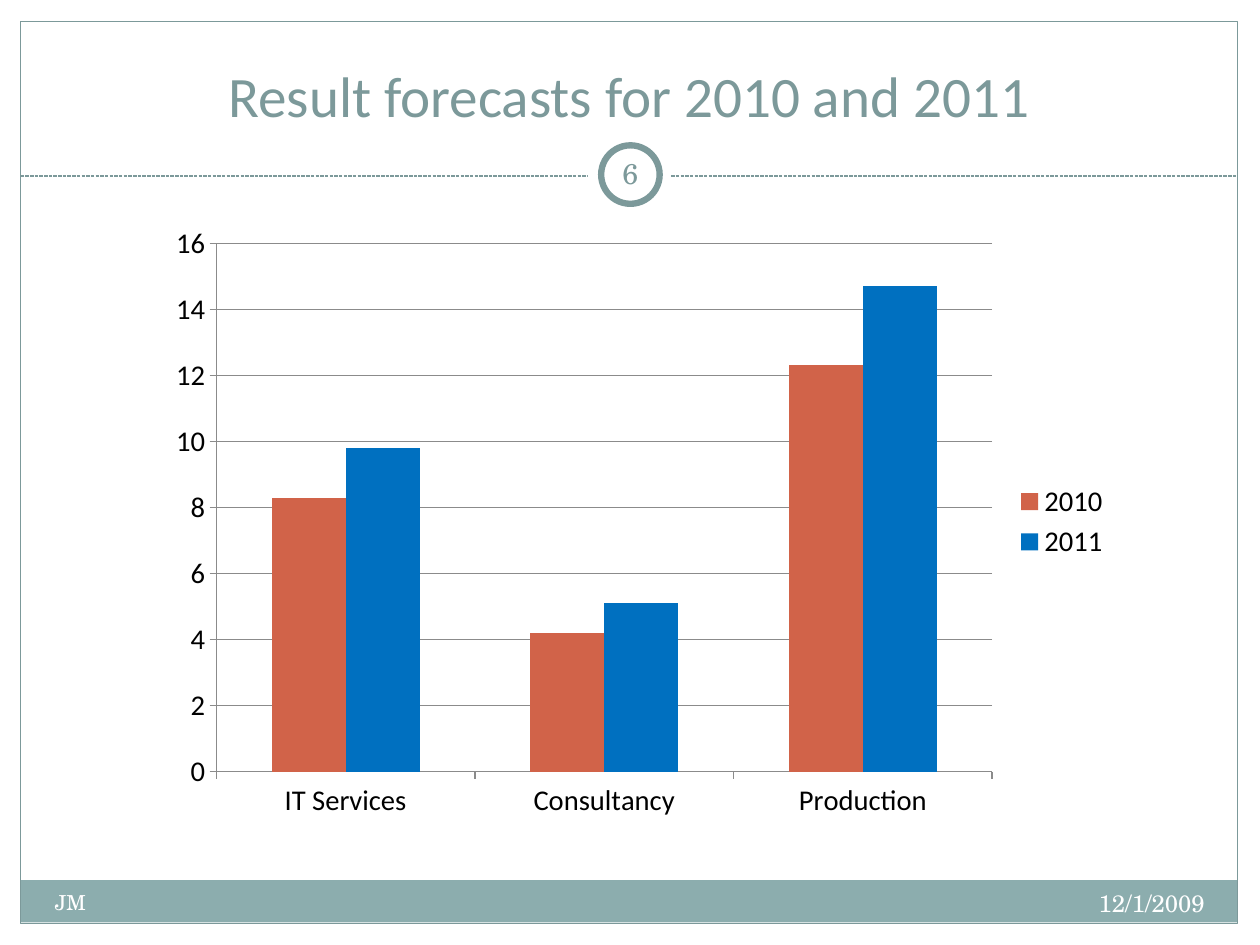
from dataclasses import dataclass
from typing import Optional

from lxml import etree
from pptx import Presentation
from pptx.chart.data import CategoryChartData
from pptx.dml.color import RGBColor
from pptx.enum.chart import XL_CHART_TYPE, XL_LEGEND_POSITION, XL_TICK_MARK
from pptx.enum.dml import MSO_LINE
from pptx.enum.shapes import MSO_CONNECTOR, MSO_SHAPE
from pptx.enum.text import MSO_ANCHOR, PP_ALIGN
from pptx.oxml import parse_xml
from pptx.oxml.ns import nsdecls, qn
from pptx.util import Cm, Pt

WHITE = RGBColor(0xFF, 0xFF, 0xFF)
BLACK = RGBColor(0, 0, 0)
TEAL = RGBColor(0x7C, 0x99, 0x9A)
BAND = RGBColor(0x8C, 0xAD, 0xAE)
RUST = RGBColor(0xD1, 0x63, 0x49)
BLUE = RGBColor(0x00, 0x70, 0xC0)
GREY = RGBColor(0x8B, 0x8B, 0x8B)
SANS, SERIF = "Calibri", "TeX Gyre Schola"

RECT, OVAL = MSO_SHAPE.RECTANGLE, MSO_SHAPE.OVAL
LEFT, MID, RIGHT = PP_ALIGN.LEFT, PP_ALIGN.CENTER, PP_ALIGN.RIGHT
TOP, CENTRE, BASE = MSO_ANCHOR.TOP, MSO_ANCHOR.MIDDLE, MSO_ANCHOR.BOTTOM
COLUMN = XL_CHART_TYPE.COLUMN_CLUSTERED
OUT = XL_TICK_MARK.OUTSIDE


@dataclass
class Box:
    x: float
    y: float
    w: float
    h: float

    def span(self) -> tuple:
        return Cm(self.x), Cm(self.y), Cm(self.w), Cm(self.h)


@dataclass
class Form:
    kind: int
    box: Box
    fill: Optional[RGBColor] = None
    line: Optional[RGBColor] = None
    width: float = 0.75


@dataclass
class Label:
    text: str
    box: Box
    size: float
    color: RGBColor = WHITE
    align: int = LEFT
    anchor: int = TOP
    side: float = 0.28


FRAME = Box(0.46, 0.48, 27.05, 20.04)
RULE = 3.91

FORMS = [
    Form(RECT, Box(FRAME.x, 19.56, FRAME.w, 0.94), fill=BAND),
    Form(RECT, FRAME, line=TEAL),
]
RINGS = [
    Form(OVAL, Box(13.06, 2.92, 1.85, 1.85), fill=WHITE),
    Form(OVAL, Box(13.36, 3.23, 1.3, 1.3), fill=WHITE, line=TEAL, width=4),
]
LABELS = [
    Label("12/1/2009", Box(17.73, 19.61, 9.32, 1.12), 15, align=RIGHT),
    Label("JM", Box(0.94, 19.63, 10.97, 1.12), 13),
    Label("6", Box(13.31, 3.18, 1.4, 1.35), 18, TEAL, MID, CENTRE, 0.15),
]
UNITS = ["IT Services", "Consultancy", "Production"]
YEARS = {"2010": ([8.3, 4.2, 12.3], RUST), "2011": ([9.8, 5.1, 14.7], BLUE)}
PLOT = {"x": 0.062, "y": 0.048, "w": 0.804, "h": 0.858}


def draw_form(slide, form: Form) -> None:
    shape = slide.shapes.add_shape(form.kind, *form.box.span())
    shape.shadow.inherit = False
    if form.fill is None:
        shape.fill.background()
    else:
        shape.fill.solid()
        shape.fill.fore_color.rgb = form.fill
    if form.line is None:
        shape.line.fill.background()
    else:
        shape.line.color.rgb = form.line
        shape.line.width = Pt(form.width)


def draw_rule(slide) -> None:
    y = Cm(RULE)
    rule = slide.shapes.add_connector(
        MSO_CONNECTOR.STRAIGHT, Cm(FRAME.x), y, Cm(FRAME.x + FRAME.w), y)
    rule.line.color.rgb = TEAL
    rule.line.width = Pt(0.75)
    rule.line.dash_style = MSO_LINE.SQUARE_DOT
    etree.SubElement(rule._element.spPr, qn("a:effectLst"))


def put_text(shape, text: str, *, size: float, color: RGBColor, font: str,
             align: int = LEFT, anchor: int = TOP, side: float = 0.28) -> None:
    frame = shape.text_frame
    frame.word_wrap = True
    frame.vertical_anchor = anchor
    frame.margin_left = frame.margin_right = Cm(side)
    frame.margin_top = frame.margin_bottom = Cm(0.15)
    para = frame.paragraphs[0]
    para.alignment = align
    run = para.add_run()
    run.text = text
    run.font.size = Pt(size)
    run.font.name = font
    run.font.color.rgb = color


def draw_title(slide) -> None:
    title = slide.shapes.title
    title.left, title.top, title.width, title.height = Box(0.91, 0.71, 26.14, 2.31).span()
    put_text(title, "Result forecasts for 2010 and 2011", size=36, color=TEAL,
             font=SANS, align=MID, anchor=BASE)


def draw_label(slide, label: Label) -> None:
    box = slide.shapes.add_textbox(*label.box.span())
    put_text(box, label.text, size=label.size, color=label.color, font=SERIF,
             align=label.align, anchor=label.anchor, side=label.side)


def set_plot(chart) -> None:
    area = chart._chartSpace.chart.plotArea
    for old in area.findall(qn("c:layout")):
        area.remove(old)
    parts = "".join(f'<c:{key} val="{val}"/>' for key, val in PLOT.items())
    area.insert(0, parse_xml(
        f'<c:layout {nsdecls("c")}><c:manualLayout><c:layoutTarget val="inner"/>'
        f'<c:xMode val="edge"/><c:yMode val="edge"/>{parts}</c:manualLayout></c:layout>'))


def draw_chart(slide) -> None:
    data = CategoryChartData()
    data.categories = UNITS
    for year, (vals, _) in YEARS.items():
        data.add_series(year, vals)
    chart = slide.shapes.add_chart(COLUMN, *Box(3.48, 4.75, 21.44, 13.69).span(), data).chart
    chart.has_title = False
    chart.font.name = SANS
    chart.font.size = Pt(18)
    chart.font.color.rgb = BLACK

    # Bars
    plot = chart.plots[0]
    plot.gap_width = 150
    plot.overlap = 0
    plot.vary_by_categories = False
    for bars, (_, color) in zip(plot.series, YEARS.values()):
        bars.format.fill.solid()
        bars.format.fill.fore_color.rgb = color

    # Axes and grid
    scale = chart.value_axis
    scale.minimum_scale, scale.maximum_scale, scale.major_unit = 0, 16, 2
    scale.has_major_gridlines = True
    for axis in (chart.category_axis, scale):
        axis.major_tick_mark = OUT
    for part in (chart.category_axis, scale, scale.major_gridlines):
        part.format.line.color.rgb = GREY
        part.format.line.width = Pt(0.75)

    chart.has_legend = True
    chart.legend.position = XL_LEGEND_POSITION.RIGHT
    chart.legend.include_in_layout = False
    set_plot(chart)


def main() -> None:
    deck = Presentation()
    deck.slide_width, deck.slide_height = Cm(28), Cm(21)
    slide = deck.slides.add_slide(deck.slide_layouts[5])

    # Frame, rule and number ring
    for form in FORMS:
        draw_form(slide, form)
    draw_rule(slide)
    for ring in RINGS:
        draw_form(slide, ring)

    # Text and chart
    draw_title(slide)
    for label in LABELS:
        draw_label(slide, label)
    draw_chart(slide)
    deck.save("out.pptx")


if __name__ == "__main__":
    main()
